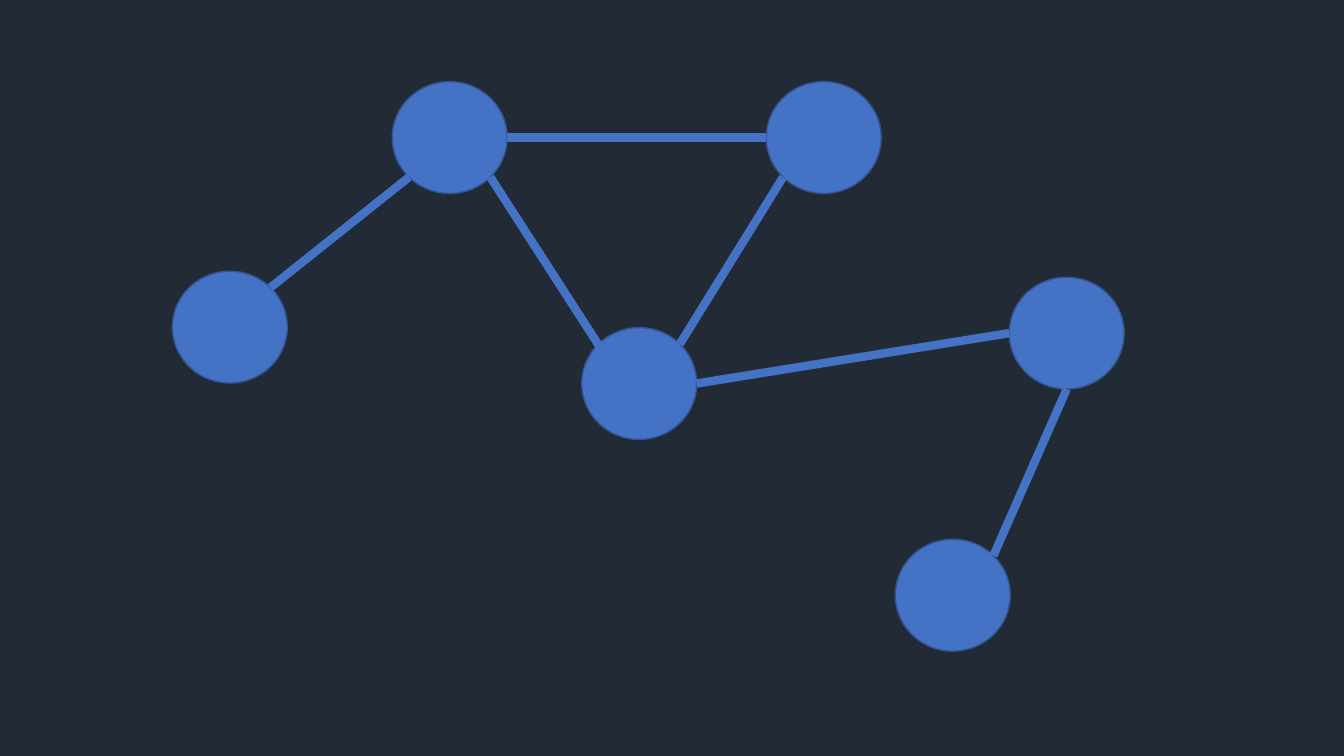
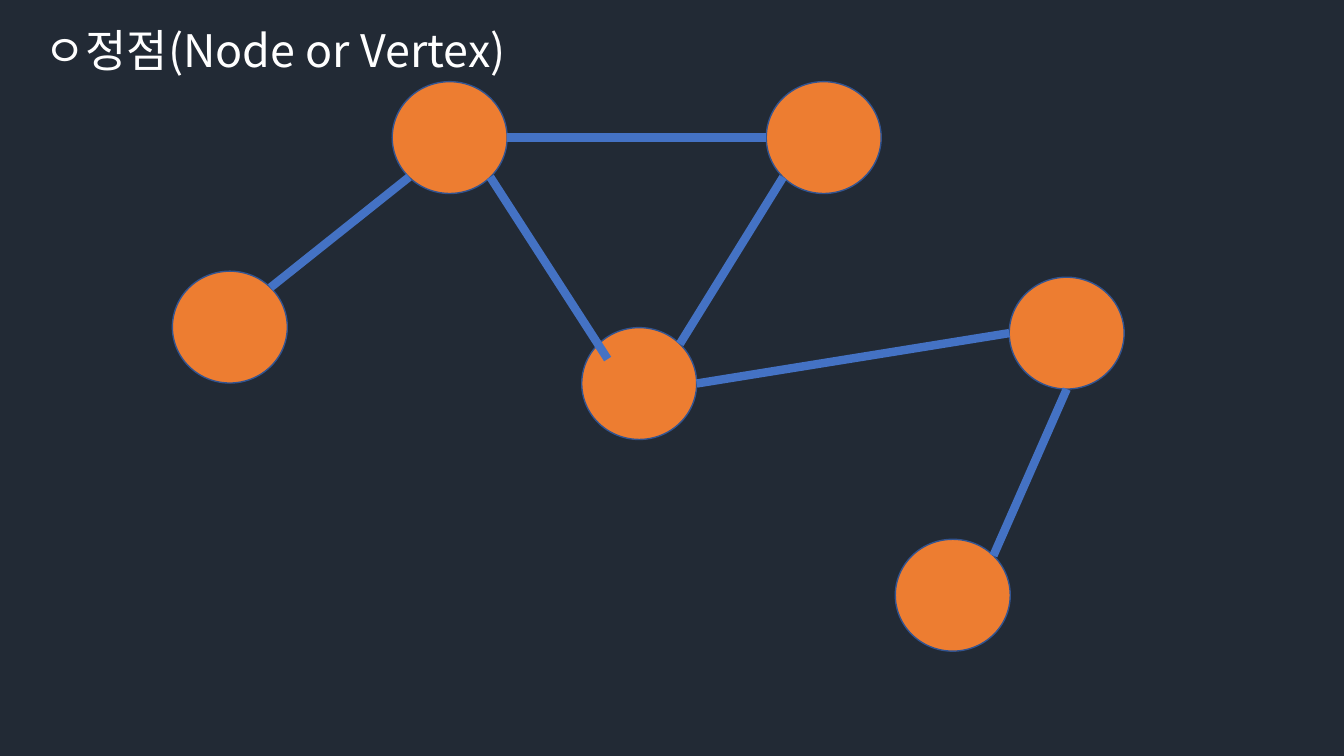
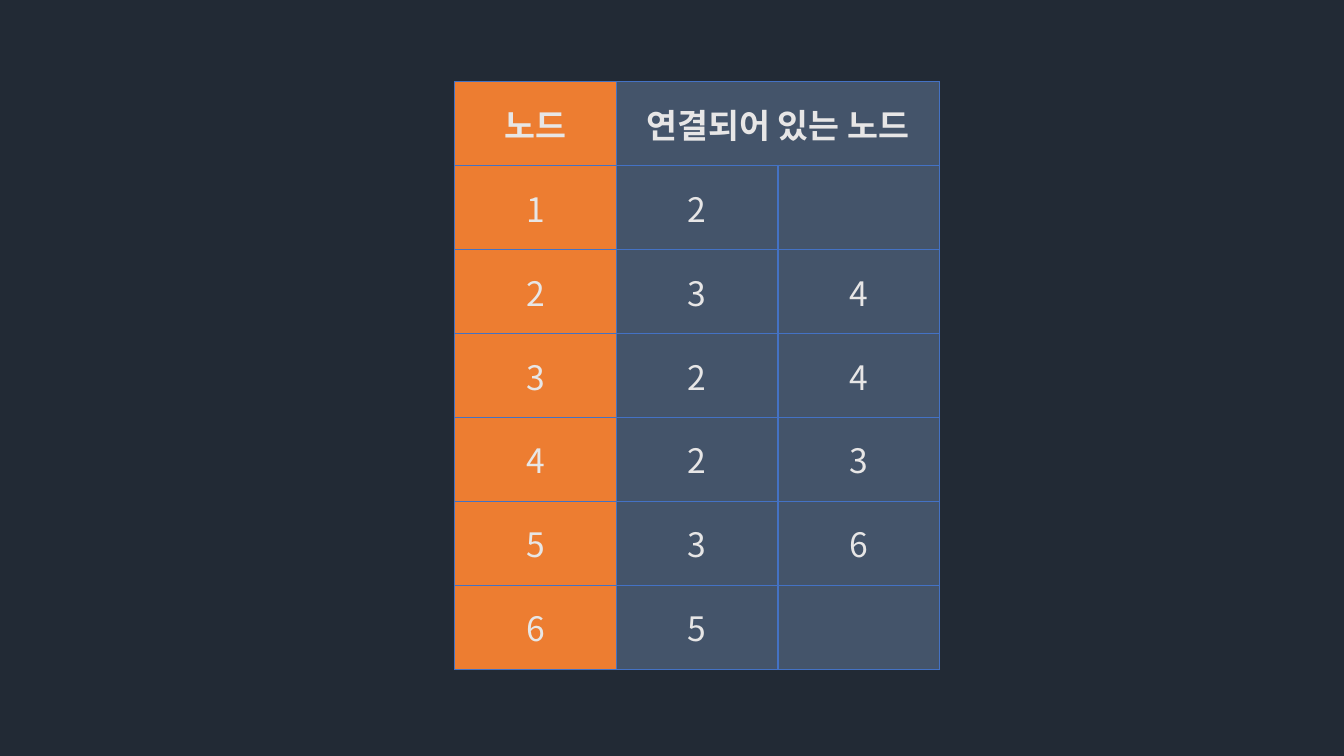
import math

from lxml import etree
from pptx import Presentation
from pptx.dml.color import RGBColor
from pptx.enum import shapes, text
from pptx.oxml import ns
from pptx.util import Inches, Pt

BACKGROUND = RGBColor(0x22, 0x2A, 0x35)
BLUE = RGBColor(0x44, 0x72, 0xC4)
NODE_OUTLINE = RGBColor(0x32, 0x54, 0x91)
ORANGE = RGBColor(0xED, 0x7D, 0x31)
SLATE = RGBColor(0x44, 0x54, 0x6A)
LIGHT_GRAY = RGBColor(0xE7, 0xE6, 0xE6)
WHITE = RGBColor(0xFF, 0xFF, 0xFF)
FONT = "Noto Sans CJK KR"

NODE_WIDTH, NODE_HEIGHT = 1.14, 1.11
NODES = {1: (1.71, 2.69), 2: (3.89, 0.81), 4: (5.77, 3.25),
         6: (8.88, 5.35), 3: (7.6, 0.81), 5: (10.01, 2.75)}
# Each edge: node and angle (degrees, clockwise from the right) at both ends
EDGES = [((1, 315), (2, 135)), ((4, 225), (2, 45)), ((3, 180), (2, 0)),
         ((3, 135), (4, 315)), ((5, 180), (4, 0)), ((5, 90), (6, 315))]
# The edge from 4 to 2 starts a little inside its node
INSETS = {(4, 225): (0.09, 0.15)}


def rim_point(node, angle):
    left, top = NODES[node]
    inset_x, inset_y = INSETS.get((node, angle), (0, 0))
    radians = math.radians(angle)
    x = left + NODE_WIDTH / 2 * (1 + math.cos(radians)) + inset_x
    y = top + NODE_HEIGHT / 2 * (1 + math.sin(radians)) + inset_y
    return Inches(x), Inches(y)


def add_run(paragraph, words, size, color, bold=False):
    """Add a run whose Latin and East Asian fonts are both FONT."""
    run = paragraph.add_run()
    run.text = words
    run.font.size = Pt(size)
    run.font.bold = bold
    run.font.color.rgb = color
    run.font.name = FONT
    latin = run.font._element.find(ns.qn("a:latin"))
    east_asian = etree.Element(ns.qn("a:ea"), typeface=FONT)
    latin.addnext(east_asian)


presentation = Presentation()
presentation.slide_width = Inches(13.33)
presentation.slide_height = Inches(7.5)
background = presentation.slide_master.background.fill
background.solid()
background.fore_color.rgb = BACKGROUND
title_layout = presentation.slide_layouts[5]
blank_layout = presentation.slide_layouts[6]

# Graph, plain and with its nodes highlighted
for layout, node_color in ((blank_layout, BLUE), (title_layout, ORANGE)):
    slide = presentation.slides.add_slide(layout)
    for left, top in NODES.values():
        node = slide.shapes.add_shape(
            shapes.MSO_SHAPE.OVAL, Inches(left), Inches(top),
            Inches(NODE_WIDTH), Inches(NODE_HEIGHT))
        node.shadow.inherit = False
        node.fill.solid()
        node.fill.fore_color.rgb = node_color
        node.line.color.rgb = NODE_OUTLINE
        node.line.width = Pt(1)
    for start, end in EDGES:
        edge = slide.shapes.add_connector(
            shapes.MSO_CONNECTOR.STRAIGHT, *rim_point(*start), *rim_point(*end))
        edge.line.color.rgb = BLUE
        edge.line.width = Pt(6)
        etree.SubElement(edge._element.spPr, ns.qn("a:effectLst"))

title = slide.shapes.title
title.left, title.top = Inches(0.34), Inches(0.18)
title.width, title.height = Inches(5.28), Inches(0.64)
title.text_frame.vertical_anchor = text.MSO_ANCHOR.TOP
title.text_frame.auto_size = text.MSO_AUTO_SIZE.NONE
title.text_frame.word_wrap = True
title_paragraph = title.text_frame.paragraphs[0]
title_paragraph.alignment = text.PP_ALIGN.LEFT
add_run(title_paragraph, "ㅇ정점(Node or Vertex)", 32, WHITE)

# Adjacency list
ROWS = [("노드", "연결되어 있는 노드", ""),
        ("1", "2", ""),
        ("2", "3", "4"),
        ("3", "2", "4"),
        ("4", "2", "3"),
        ("5", "3", "6"),
        ("6", "5", "")]
slide = presentation.slides.add_slide(blank_layout)
table = slide.shapes.add_table(
    len(ROWS), 3, Inches(4.51), Inches(0.81), Inches(4.81), Inches(5.83)).table
table.first_row = False
table.horz_banding = False
table.cell(0, 1).merge(table.cell(0, 2))
for row, values in enumerate(ROWS):
    for column, value in enumerate(values):
        cell = table.cell(row, column)
        properties = cell._tc.get_or_add_tcPr()
        for side in ("lnL", "lnR", "lnT", "lnB"):
            border = etree.SubElement(properties, ns.qn(f"a:{side}"), w=str(Pt(1)))
            fill = etree.SubElement(border, ns.qn("a:solidFill"))
            etree.SubElement(fill, ns.qn("a:srgbClr"), val=str(BLUE))
        cell.fill.solid()
        cell.fill.fore_color.rgb = ORANGE if column == 0 else SLATE
        cell.vertical_anchor = text.MSO_ANCHOR.MIDDLE
        if value:
            paragraph = cell.text_frame.paragraphs[0]
            paragraph.alignment = text.PP_ALIGN.CENTER
            add_run(paragraph, value, 24, LIGHT_GRAY, bold=row == 0)

presentation.save("out.pptx")
